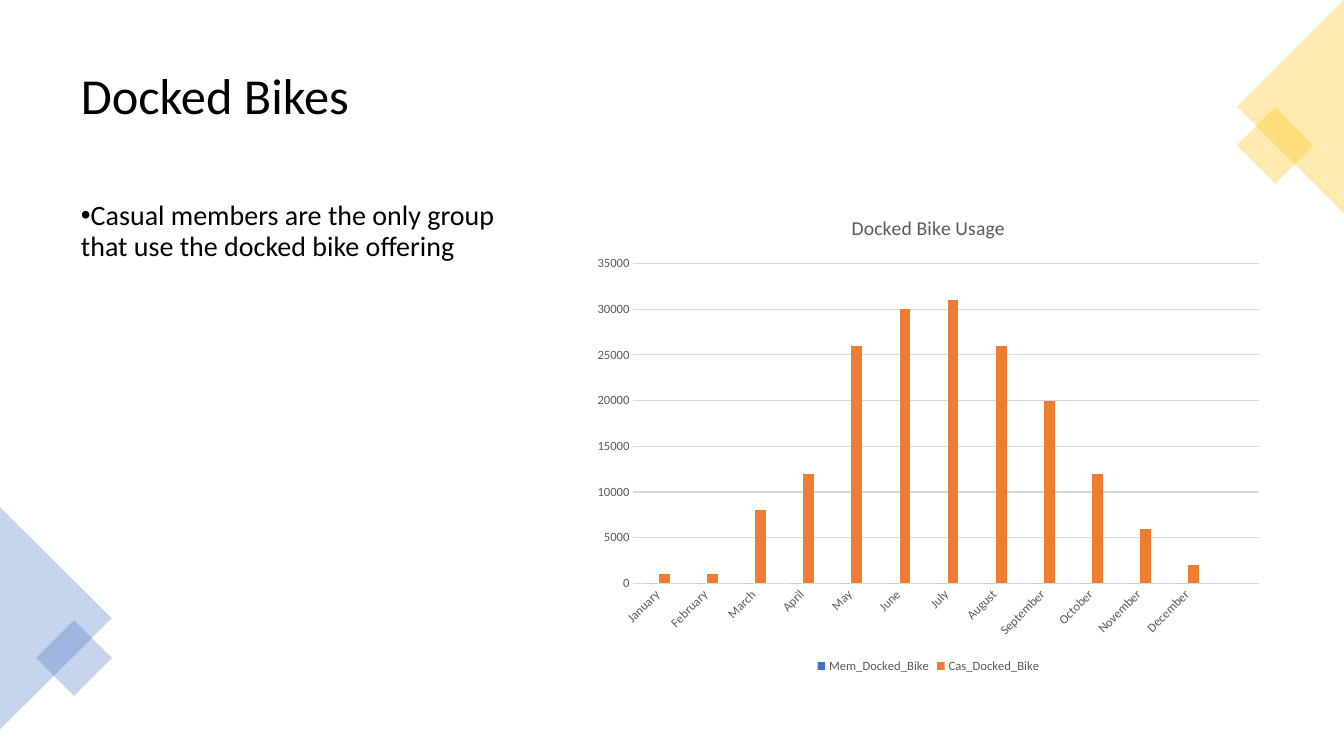
"""Build the Docked Bikes slide with its column chart and corner accents."""
import pptx
import pptx.chart.data
import pptx.dml.color
import pptx.enum.chart
import pptx.enum.shapes
import pptx.enum.text
import pptx.oxml
import pptx.oxml.ns
import pptx.util
from pptx.util import Cm

FONT = "Calibri"
COLORS = {"text": "000000", "muted": "595959", "grid": "D9D9D9",
          "blue": "4472C4", "orange": "ED7D31", "gold": "FFC000"}
MONTHS = ["January", "February", "March", "April", "May", "June", "July",
          "August", "September", "October", "November", "December"]
CASUAL = [1000, 1000, 8000, 12000, 26000, 30000, 31000, 26000, 20000, 12000, 6000, 2000]


def rgb(name):
    return pptx.dml.color.RGBColor.from_string(COLORS[name])


def style_font(font, size, color):
    font.name = FONT
    font.size = pptx.util.Pt(size)
    font.bold = False
    font.color.rgb = rgb(color)


def style_line(line, color):
    line.color.rgb = rgb(color)
    line.width = pptx.util.Pt(0.75)


def add_element(parent, tag, **attrs):
    el = pptx.oxml.parse_xml(f"<a:{tag} {pptx.oxml.ns.nsdecls('a')}/>")
    for key, value in attrs.items():
        el.set(key, value)
    parent.append(el)


def add_text(s, box, text, size, anchor):
    tf = s.shapes.add_textbox(*map(Cm, box)).text_frame
    tf.word_wrap = True
    tf.vertical_anchor = anchor
    p = tf.paragraphs[0]
    p.line_spacing = 0.9
    r = p.add_run()
    r.text = text
    style_font(r.font, size, "text")
    return p


def add_bullet(p):
    p.space_after = pptx.util.Pt(6)
    pPr = p._p.get_or_add_pPr()
    pPr.set("marL", "0")
    pPr.set("indent", str(-Cm(0.64)))
    add_element(pPr, "buFont", typeface="Arial")
    add_element(pPr, "buChar", char="•")


def add_accent(s, kind, box, rotation, color):
    sp = s.shapes.add_shape(kind, *map(Cm, box))
    sp.rotation = rotation
    sp.shadow.inherit = False
    sp.fill.solid()
    sp.fill.fore_color.rgb = rgb(color)
    add_element(sp.fill._xPr.find(".//" + pptx.oxml.ns.qn("a:srgbClr")), "alpha", val="30000")
    sp.line.fill.background()


def style_axis(axis):
    axis.major_tick_mark = axis.minor_tick_mark = pptx.enum.chart.XL_TICK_MARK.NONE
    style_font(axis.tick_labels.font, 9, "muted")


def add_usage_chart(s, box):
    data = pptx.chart.data.CategoryChartData()
    data.categories = MONTHS + [""]
    data.add_series("Mem_Docked_Bike", [0] * len(MONTHS) + [None])
    data.add_series("Cas_Docked_Bike", CASUAL + [None])
    kind = pptx.enum.chart.XL_CHART_TYPE.COLUMN_CLUSTERED
    chart = s.shapes.add_chart(kind, *map(Cm, box), data).chart
    style_font(chart.font, 10, "text")

    chart.has_title = True
    r = chart.chart_title.text_frame.paragraphs[0].add_run()
    r.text = "Docked Bike Usage"
    style_font(r.font, 14, "muted")

    chart.has_legend = True
    chart.legend.position = pptx.enum.chart.XL_LEGEND_POSITION.BOTTOM
    chart.legend.include_in_layout = False
    style_font(chart.legend.font, 9, "muted")

    plot = chart.plots[0]
    plot.gap_width = 219
    plot.overlap = -27
    plot.vary_by_categories = False
    for series, color in zip(plot.series, ("blue", "orange")):
        series.format.fill.solid()
        series.format.fill.fore_color.rgb = rgb(color)

    months, rides = chart.category_axis, chart.value_axis
    style_axis(months)
    style_line(months.format.line, "grid")
    months._element.txPr.bodyPr.set("rot", "-2700000")
    style_axis(rides)
    rides.format.line.fill.background()
    rides.minimum_scale, rides.maximum_scale, rides.major_unit = 0, 35000, 5000
    rides.has_major_gridlines = True
    style_line(rides.major_gridlines.format.line, "grid")


def main():
    prs = pptx.Presentation()
    prs.slide_width, prs.slide_height = Cm(33.87), Cm(19.05)
    s = prs.slides.add_slide(prs.slide_layouts[6])
    anchor = pptx.enum.text.MSO_ANCHOR
    add_text(s, (1.79, 0.89, 30.3, 3.15), "Docked Bikes", 36, anchor.MIDDLE)
    add_bullet(add_text(s, (1.79, 4.96, 11.13, 12.22),
                        "Casual members are the only group that use the docked bike offering",
                        20, anchor.TOP))
    shape = pptx.enum.shapes.MSO_SHAPE
    add_accent(s, shape.ISOSCELES_TRIANGLE, (-1.4, 14.17, 5.61, 2.82), 90, "blue")
    add_accent(s, shape.RECTANGLE, (1.19, 15.91, 1.35, 1.35), 45, "blue")
    add_accent(s, shape.RECTANGLE, (31.45, 2.98, 1.37, 1.37), 45, "gold")
    add_accent(s, shape.ISOSCELES_TRIANGLE, (29.83, 1.34, 5.38, 2.69), 270, "gold")
    add_usage_chart(s, (14.71, 4.93, 17.37, 12.14))
    prs.save("out.pptx")


if __name__ == "__main__":
    main()
